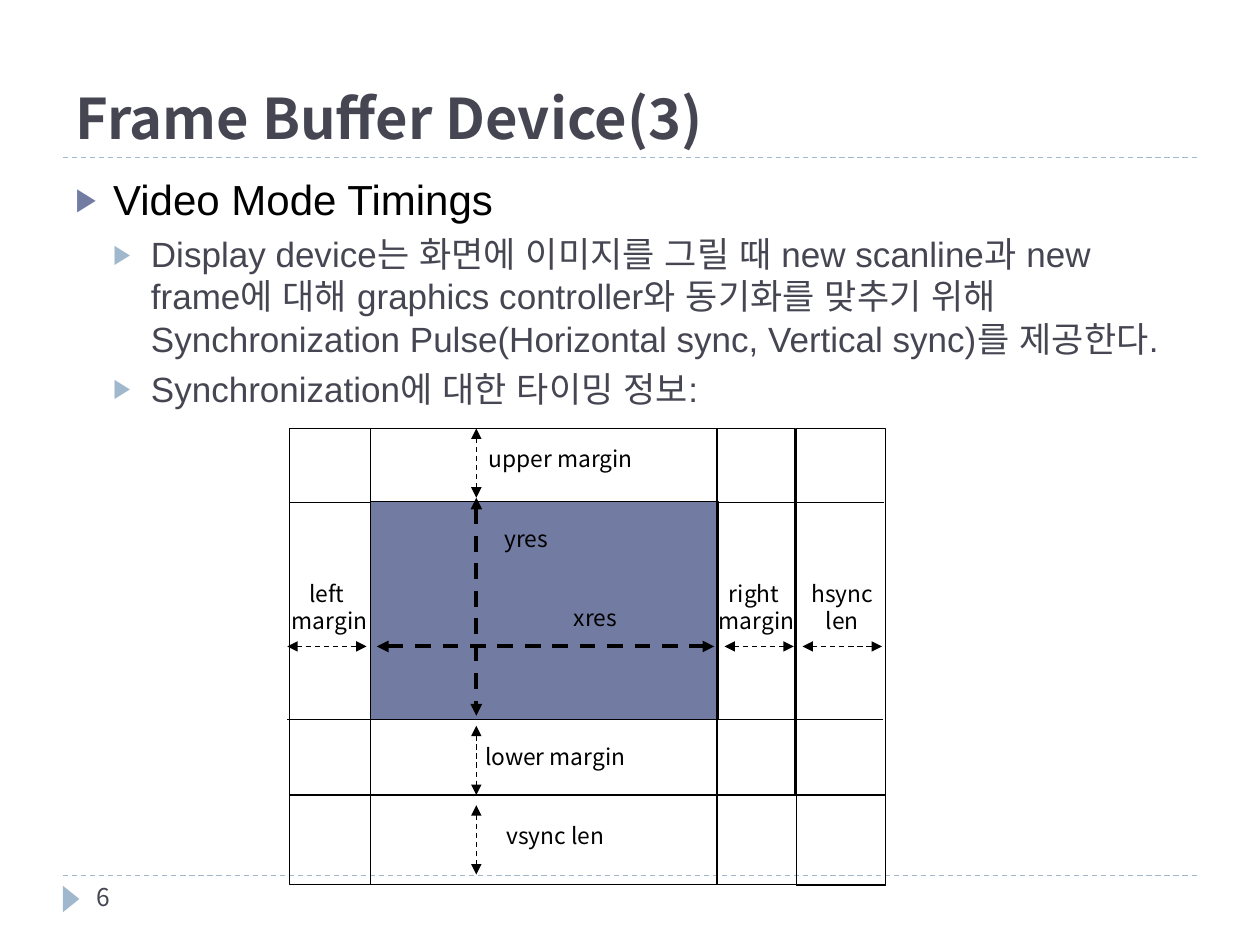
from typing import NamedTuple

from pptx import Presentation, util as u
from pptx.dml.color import RGBColor
from pptx.enum import dml, shapes, text
from pptx.oxml import ns, xmlchemy as xc

Pt = u.Pt
CJK, INK, BLACK, BLUE, PALE = "Noto Sans CJK KR", "464653", "000000", "727CA3", "9FB8CD"


class Box(NamedTuple):
    x: float
    y: float
    w: float
    h: float
    fill: str = ""


class Line(NamedTuple):
    x: float
    y: float
    x2: float
    y2: float
    wide: float = 0.75


class Label(NamedTuple):
    words: str
    mid_x: float
    mid_y: float
    w: float = 56


class Point(NamedTuple):
    words: str
    size: float
    ink: str
    mark: str
    level: int
    gap: float


BOXES = [
    Box(211.7, 286.6, 198.7, 124.6),
    Box(165.6, 244.8, 288.7, 209.5),
    Box(455, 244.8, 51.1, 261.4),
    Box(165.6, 454.3, 340.5, 51.1),
]
SCREEN = Box(211.7, 286.6, 198, 124.6, BLUE)
RULES = [
    Line(211.7, 409, 211.7, 505.4),
    Line(211.7, 244.8, 211.7, 341.3),
    Line(409.7, 244.8, 409.7, 505.4),
    Line(505.4, 287.3, 164.9, 287.3),
    Line(504.7, 411.1, 164.2, 411.1),
]
MID_X, MID_Y = 272.2, 369.4
DOWN = [(284.4, 409, 2.25), (244.8, 284.4, 0.75), (414.7, 454.3, 0.75), (460.1, 499.7, 0.75)]
ACROSS = [(215.3, 408.2, 2.25), (164.2, 209.5, 0.75), (414, 453.6, 0.75), (458.6, 504, 0.75)]
LABELS = [
    Label("left\n margin", 186.9, 347),
    Label("xres", 340.2, 352.8),
    Label("yres", 300.6, 307.4),
    Label("upper margin", 320.4, 262.1, 96),
    Label("right\n margin", 430.9, 347),
    Label("hsync\nlen", 481.3, 347),
    Label("lower margin", 317.2, 432, 96),
    Label("vsync len", 317.2, 477.3, 80),
]
POINTS = [
    Point("Video Mode Timings", 24, BLACK, BLUE, 0, 0),
    Point("Display device는 화면에 이미지를 그릴 때 new scanline과 new frame에 대해 "
          "graphics controller와 동기화를 맞추기 위해 Synchronization "
          "Pulse(Horizontal sync, Vertical sync)를 제공한다.", 20, INK, PALE, 1, 5),
    Point("Synchronization에 대한 타이밍 정보:", 20, INK, PALE, 1, 5),
]


def tint(code: str) -> RGBColor:
    """Turn a hex string into a colour."""
    return RGBColor.from_string(code)


def add(node, tag: str, **attrs: str):
    """Append a child element with the given attributes."""
    kid = xc.OxmlElement(tag)
    for key, val in attrs.items():
        kid.set(key, val)
    node.append(kid)
    return kid


def style(para, size: float, ink: str, face: str = CJK, bold: bool = False) -> None:
    """Format every run of a paragraph."""
    for run in para.runs:
        font = run.font
        font.size, font.bold, font.name = Pt(size), bold, face
        font.color.rgb = tint(ink)
        add(run._r.get_or_add_rPr(), "a:ea", typeface=face)


def draw_box(host, box: Box, kind=shapes.MSO_SHAPE.RECTANGLE, edge: str = BLACK):
    """Draw a preset shape with optional fill and edge."""
    shape = host.add_shape(kind, *map(Pt, box[:4]))
    shape.shadow.inherit = False
    if box.fill:
        shape.fill.solid()
        shape.fill.fore_color.rgb = tint(box.fill)
    else:
        shape.fill.background()
    if edge:
        shape.line.color.rgb = tint(edge)
        shape.line.width = Pt(0.75)
    else:
        shape.line.fill.background()
    return shape


def draw_line(host, line: Line, ink: str = BLACK, dash: bool = False, tips: bool = False) -> None:
    """Draw a straight line, dashed or tipped at both ends on request."""
    rule = host.add_connector(shapes.MSO_CONNECTOR.STRAIGHT, *map(Pt, line[:4]))
    rule.line.color.rgb = tint(ink)
    rule.line.width = Pt(line.wide)
    if dash:
        rule.line.dash_style = dml.MSO_LINE.DASH
    if tips:
        for tag in ("a:headEnd", "a:tailEnd"):
            add(rule.line._get_or_add_ln(), tag, type="triangle")
    add(rule._element.find(ns.qn("p:spPr")), "a:effectLst")


def draw_label(host, label: Label) -> None:
    """Write a diagram label centred on its middle point."""
    high = 18 * len(label.words.split("\n"))
    spot = (label.mid_x - label.w / 2, label.mid_y - high / 2, label.w, high)
    frame = host.add_textbox(*map(Pt, spot)).text_frame
    frame.margin_left = frame.margin_right = frame.margin_top = frame.margin_bottom = 0
    frame.word_wrap = False
    frame.vertical_anchor = text.MSO_ANCHOR.MIDDLE
    frame.text = label.words
    for para in frame.paragraphs:
        para.alignment = text.PP_ALIGN.CENTER
        style(para, 13, BLACK)


def draw_points(host, points: list[Point]) -> None:
    """Write the bulleted text."""
    frame = host.add_textbox(*map(Pt, (36, 95.8, 648, 388.8))).text_frame
    frame.word_wrap = True
    frame.text = "\n".join(point.words for point in points)
    for para, point in zip(frame.paragraphs, points):
        para.level = point.level
        para.space_before = Pt(point.gap)
        props = para._p.get_or_add_pPr()
        props.set("marL", str(Pt(21.6 * (point.level + 1))))
        props.set("indent", str(Pt(-21.6)))
        add(add(props, "a:buClr"), "a:srgbClr", val=point.mark)
        add(props, "a:buSzPct", val="76000")
        add(props, "a:buFont", typeface="Arial")
        add(props, "a:buChar", char="▶")
        style(para, point.size, point.ink, "Arial")


def main() -> None:
    """Build the slide."""
    deck = Presentation()
    deck.slide_width, deck.slide_height = Pt(720), Pt(540)
    slide = deck.slides.add_slide(deck.slide_layouts[5])
    host = slide.shapes

    for y in (500.4, 90):
        draw_line(host, Line(36, y, 684, y), PALE, dash=True)
    mark = draw_box(host, Box(33.1, 509, 15.1, 9.4, PALE),
                    shapes.MSO_SHAPE.ISOSCELES_TRIANGLE, "")
    mark.rotation = 90

    title = host.title
    title.left, title.top, title.width, title.height = map(Pt, (36, 12.2, 648, 77.8))
    frame = title.text_frame
    frame.text = "Frame Buffer Device(3)"
    frame.vertical_anchor = text.MSO_ANCHOR.BOTTOM
    frame.paragraphs[0].alignment = text.PP_ALIGN.LEFT
    style(frame.paragraphs[0], 32, INK, bold=True)

    draw_points(host, POINTS)
    page = host.add_textbox(*map(Pt, (48.2, 500.4, 156.2, 28.8))).text_frame
    page.word_wrap = True
    page.text = "6"
    style(page.paragraphs[0], 14, INK)

    group = host.add_group_shape().shapes
    for box in BOXES:
        draw_box(group, box)
    for rule in RULES:
        draw_line(group, rule)
    draw_box(group, SCREEN)
    for start, end, wide in DOWN:
        draw_line(group, Line(MID_X, start, MID_X, end, wide), dash=True, tips=True)
    for start, end, wide in ACROSS:
        draw_line(group, Line(start, MID_Y, end, MID_Y, wide), dash=True, tips=True)
    for label in LABELS:
        draw_label(host, label)
    deck.save("out.pptx")


if __name__ == "__main__":
    main()
